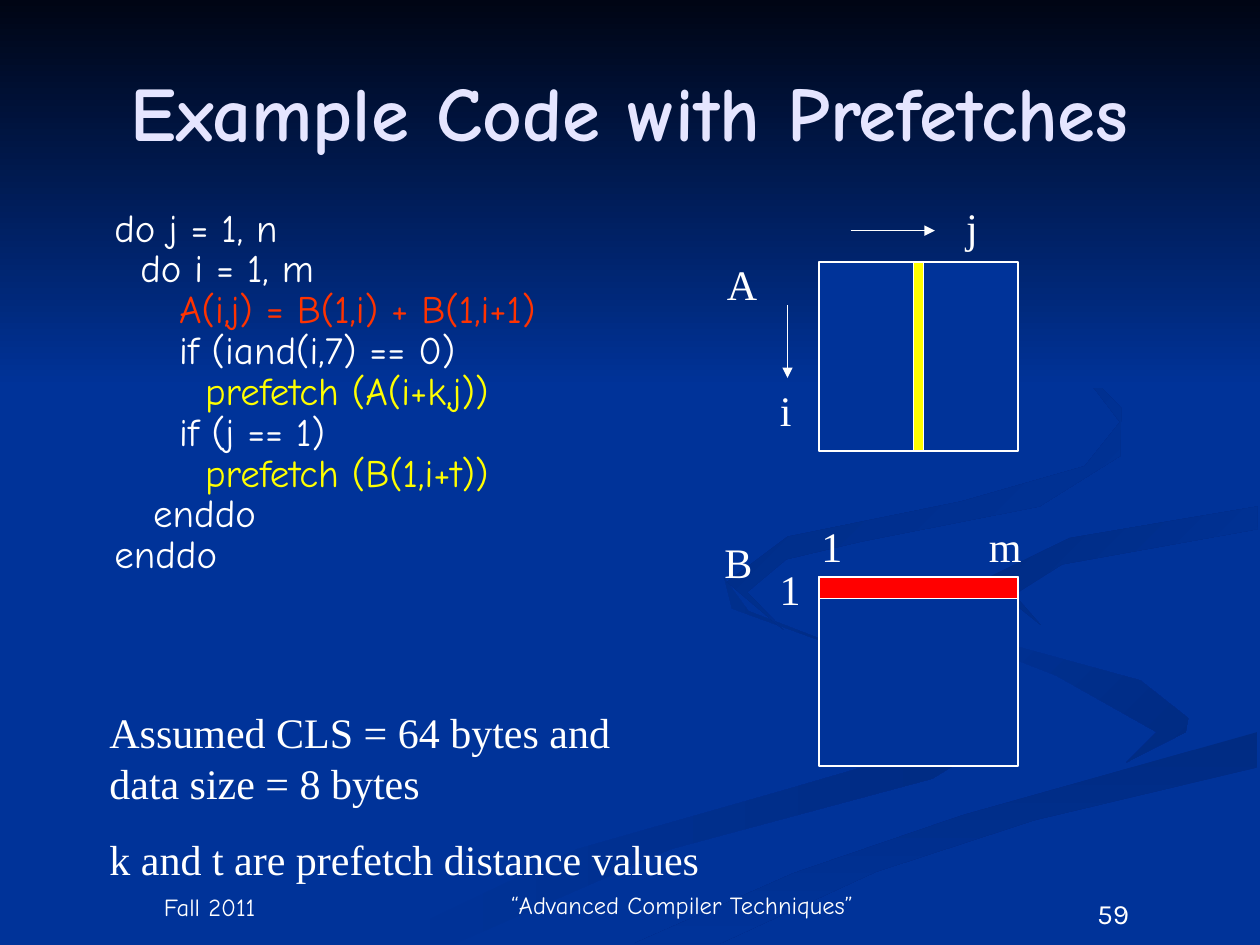
from dataclasses import dataclass

from lxml.etree import SubElement
from pptx import Presentation
from pptx.dml.color import RGBColor
from pptx.enum.shapes import MSO_CONNECTOR, MSO_SHAPE
from pptx.enum.text import MSO_ANCHOR, PP_ALIGN
from pptx.oxml.ns import qn
from pptx.util import Inches, Pt


@dataclass(frozen=True)
class Theme:
    background: str = "003399"
    night: str = "000514"
    swirl: str = "002B82"
    title: str = "E5E5FF"
    text: str = "FFFFFF"
    statement: str = "FF3300"
    prefetch: str = "FFFF00"
    row: str = "FF0000"
    heading_font: str = "Comic Neue"
    note_font: str = "Times New Roman"
    number_font: str = "Karla"
    title_size: float = 44
    code_size: float = 22.2
    note_size: float = 24
    footer_size: float = 14
    number_size: float = 16
    outline: float = 0.75


THEME = Theme()

# Swirls from back to front: gradient start, end, angle, outline in hundredths of an inch
SWIRLS = [
    (THEME.background, THEME.swirl, 0, [
        (781, 553), (682, 519), (594, 485), (575, 459), (581, 483), (697, 525), (781, 556),
        (774, 583), (616, 629), (458, 674), (300, 749), (361, 749), (532, 674), (740, 618),
        (800, 581)]),
    (THEME.background, THEME.swirl, 45, [
        (943, 570), (905, 540), (792, 509), (724, 464), (746, 500), (838, 536), (918, 581),
        (894, 605), (941, 581)]),
    (THEME.swirl, THEME.background, 90, [
        (503, 749), (571, 749), (695, 692), (821, 651), (998, 609), (998, 581), (764, 647),
        (630, 693)]),
    (THEME.swirl, THEME.background, 45, [
        (781, 460), (826, 496), (805, 472), (843, 448), (998, 420), (998, 402), (849, 427)]),
    (THEME.swirl, THEME.background, 45, [
        (683, 430), (825, 402), (889, 362), (890, 324), (843, 275), (762, 233), (846, 279),
        (889, 335), (861, 370), (763, 398), (625, 426), (577, 462), (622, 500), (593, 470),
        (624, 444)]),
]


def color(hex_value):
    return RGBColor.from_string(hex_value)


def add_run(paragraph, words, font, size, hex_value=THEME.text, bold=False):
    run = paragraph.add_run()
    run.text = words
    run.font.name, run.font.size, run.font.bold = font, Pt(size), bold
    run.font.color.rgb = color(hex_value)


def text_frame(slide, left, top, width, height, wrap=True, anchor=MSO_ANCHOR.TOP):
    box = slide.shapes.add_textbox(Inches(left), Inches(top), Inches(width), Inches(height))
    frame = box.text_frame
    frame.word_wrap, frame.vertical_anchor = wrap, anchor
    return frame


def shade(shape, start, end, angle):
    """Fill a shape without outline with a gradient, its angle counted clockwise."""
    shape.shadow.inherit = False
    shape.line.fill.background()
    shape.fill.gradient()
    shape.fill.gradient_angle = -angle % 360
    for stop, hex_value, position in zip(shape.fill.gradient_stops, (start, end), (0, 1)):
        stop.color.rgb, stop.position = color(hex_value), position


def draw_background(slide, width, sky_height):
    slide.background.fill.solid()
    slide.background.fill.fore_color.rgb = color(THEME.background)
    for start, end, angle, points in SWIRLS:
        builder = slide.shapes.build_freeform(*points[0], scale=Inches(0.01))
        builder.add_line_segments(points[1:], close=True)
        shade(builder.convert_to_shape(), start, end, angle)
    sky = slide.shapes.add_shape(MSO_SHAPE.RECTANGLE, 0, 0, Inches(width), Inches(sky_height))
    shade(sky, THEME.night, THEME.background, 90)


def place_title(slide, left, top, width, height):
    title = slide.shapes.title
    slide.shapes._spTree.append(title._element)  # in front of the background
    title.left, title.top = Inches(left), Inches(top)
    title.width, title.height = Inches(width), Inches(height)
    title.text_frame.vertical_anchor = MSO_ANCHOR.MIDDLE
    paragraph = title.text_frame.paragraphs[0]
    paragraph.alignment = PP_ALIGN.CENTER
    add_run(paragraph, "Example Code with Prefetches", THEME.heading_font,
            THEME.title_size, THEME.title, bold=True)


def write_code(slide, left, top, width, height):
    code = [("do j = 1, n", THEME.text), ("  do i = 1, m", THEME.text),
            ("     A(i,j) = B(1,i) + B(1,i+1)", THEME.statement),
            ("     if (iand(i,7) == 0)", THEME.text),
            ("       prefetch (A(i+k,j))", THEME.prefetch),
            ("     if (j == 1)", THEME.text),
            ("       prefetch (B(1,i+t))", THEME.prefetch),
            ("   enddo", THEME.text), ("enddo", THEME.text)]
    frame = text_frame(slide, left, top, width, height)
    for index, (statement, hex_value) in enumerate(code):
        paragraph = frame.add_paragraph() if index else frame.paragraphs[0]
        paragraph.line_spacing = 0.65
        paragraph.space_before = Pt(6 if index else 0)
        add_run(paragraph, statement, THEME.heading_font, THEME.code_size, hex_value)


def write_assumptions(slide, left, top, width, height):
    frame = text_frame(slide, left, top, width, height)
    sizes = frame.paragraphs[0]
    add_run(sizes, "Assumed CLS = 64 bytes and", THEME.note_font, THEME.note_size)
    sizes.add_line_break()
    add_run(sizes, "data size = 8 bytes", THEME.note_font, THEME.note_size)
    distances = frame.add_paragraph()
    distances.space_before = Pt(15)
    add_run(distances, "k and t are prefetch distance values", THEME.note_font, THEME.note_size)


def add_block(slide, left, top, width, height, hex_value):
    block = slide.shapes.add_shape(MSO_SHAPE.RECTANGLE, Inches(left), Inches(top),
                                   Inches(width), Inches(height))
    block.shadow.inherit = False
    block.fill.solid()
    block.fill.fore_color.rgb = color(hex_value)
    block.line.color.rgb, block.line.width = color(THEME.text), Pt(THEME.outline)


def add_arrow(slide, *ends):
    arrow = slide.shapes.add_connector(MSO_CONNECTOR.STRAIGHT, *map(Inches, ends))
    arrow.line.color.rgb, arrow.line.width = color(THEME.text), Pt(THEME.outline)
    SubElement(arrow.line._get_or_add_ln(), qn("a:tailEnd"), type="triangle")
    SubElement(arrow._element.spPr, qn("a:effectLst"))


def draw_array(slide, left, top, width, height, accessed, hex_value, labels):
    """Draw an array with its accessed part and labels, both offset from its corner."""
    add_block(slide, left, top, width, height, THEME.background)
    dx, dy, part_width, part_height = accessed
    add_block(slide, left + dx, top + dy, part_width, part_height, hex_value)
    for label, dx, dy, label_width in labels:
        frame = text_frame(slide, left + dx, top + dy, label_width, 0.5, wrap=False)
        add_run(frame.paragraphs[0], label, THEME.note_font, THEME.note_size)


def draw_arrays(slide, left, top, width, height, pitch):
    draw_array(slide, left, top, width, height, (0.75, 0, 0.08, height), THEME.prefetch,
               [("A", -0.83, -0.08, 0.75), ("j", 1.07, -0.53, 0.29), ("i", -0.41, 0.92, 0.29)])
    add_arrow(slide, left - 0.25, top + 0.34, left - 0.25, top + 0.92)
    add_arrow(slide, left + 0.25, top - 0.25, left + 0.92, top - 0.25)
    draw_array(slide, left, top + pitch, width, height, (0, 0, width, 0.17), THEME.row,
               [("B", -0.85, -0.37, 0.42), ("1", -0.41, -0.16, 0.36),
                ("1", -0.08, -0.5, 0.36), ("m", 1.25, -0.5, 0.46)])


def write_footer(slide, words, box, font, size, anchor):
    paragraph = text_frame(slide, *box, anchor=anchor).paragraphs[0]
    paragraph.alignment = PP_ALIGN.CENTER
    add_run(paragraph, words, font, size)


def main():
    deck = Presentation()
    deck.slide_width, deck.slide_height = Inches(10), Inches(7.5)
    slide = deck.slides.add_slide(deck.slide_layouts[5])
    draw_background(slide, 10, 3.08)
    place_title(slide, 0.75, 0.25, 8.5, 1.25)
    write_code(slide, 0.81, 1.68, 4.67, 3.08)
    draw_arrays(slide, 6.5, 2.08, 1.58, 1.5, pitch=2.5)
    write_assumptions(slide, 0.77, 5.56, 5.17, 1.51)
    for words, box in [("Fall 2011", (0.5, 7, 2.33, 0.36)),
                       ("“Advanced Compiler Techniques”", (3.83, 7, 3.17, 0.35))]:
        write_footer(slide, words, box, THEME.heading_font, THEME.footer_size, MSO_ANCHOR.BOTTOM)
    write_footer(slide, "59", (8, 7.07, 1.67, 0.4), THEME.number_font, THEME.number_size,
                 MSO_ANCHOR.TOP)
    deck.save("out.pptx")


if __name__ == "__main__":
    main()
